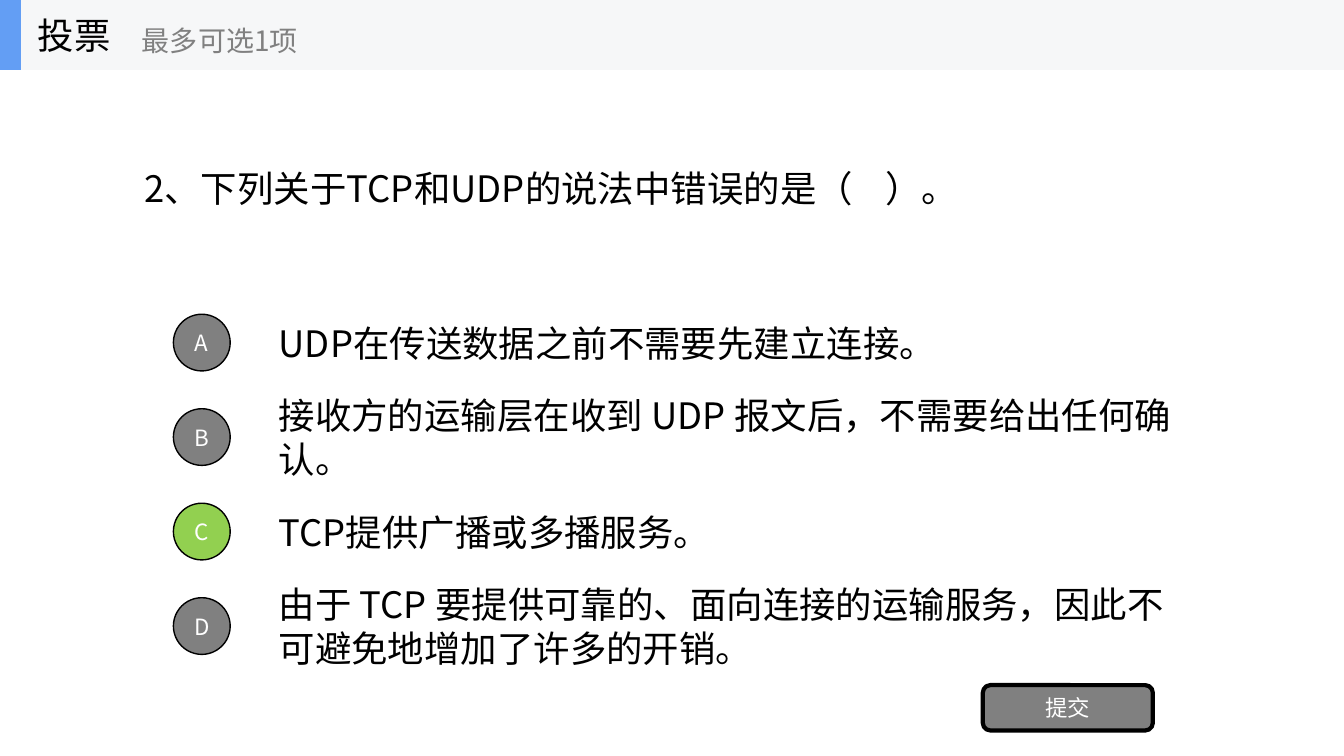
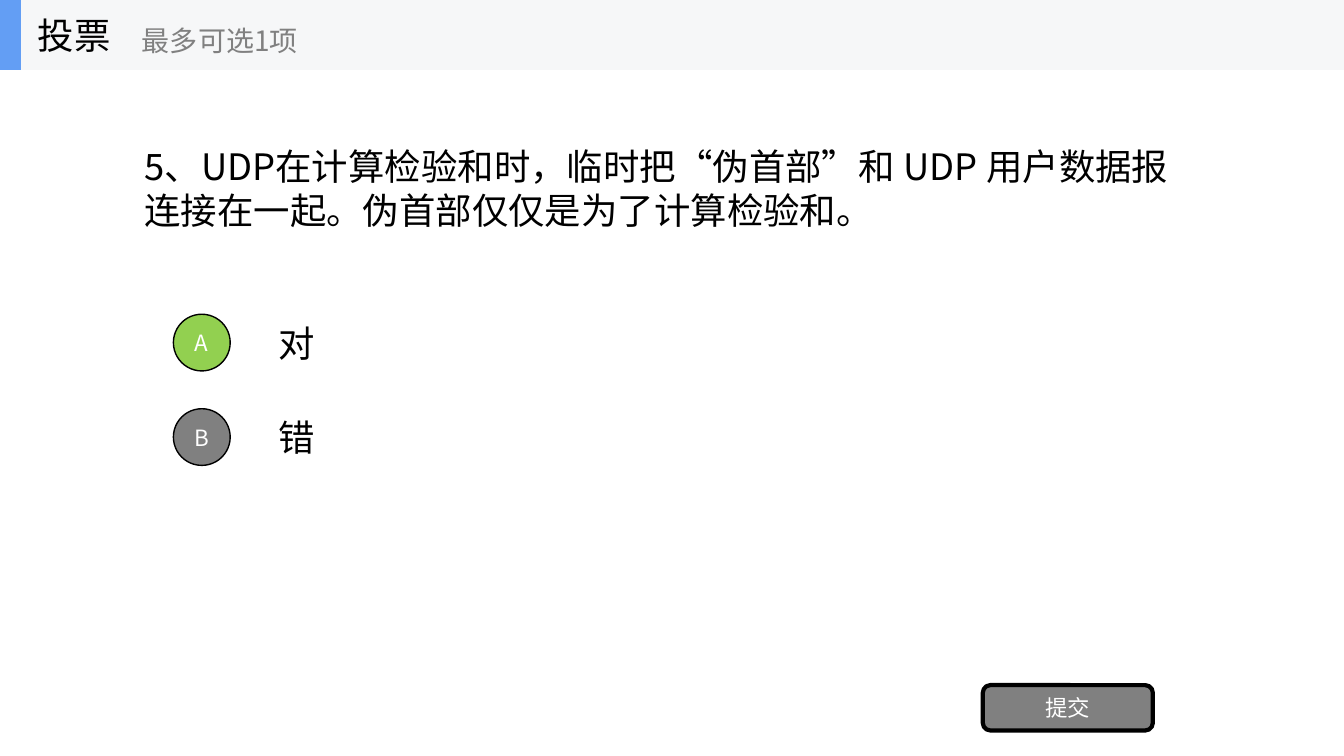
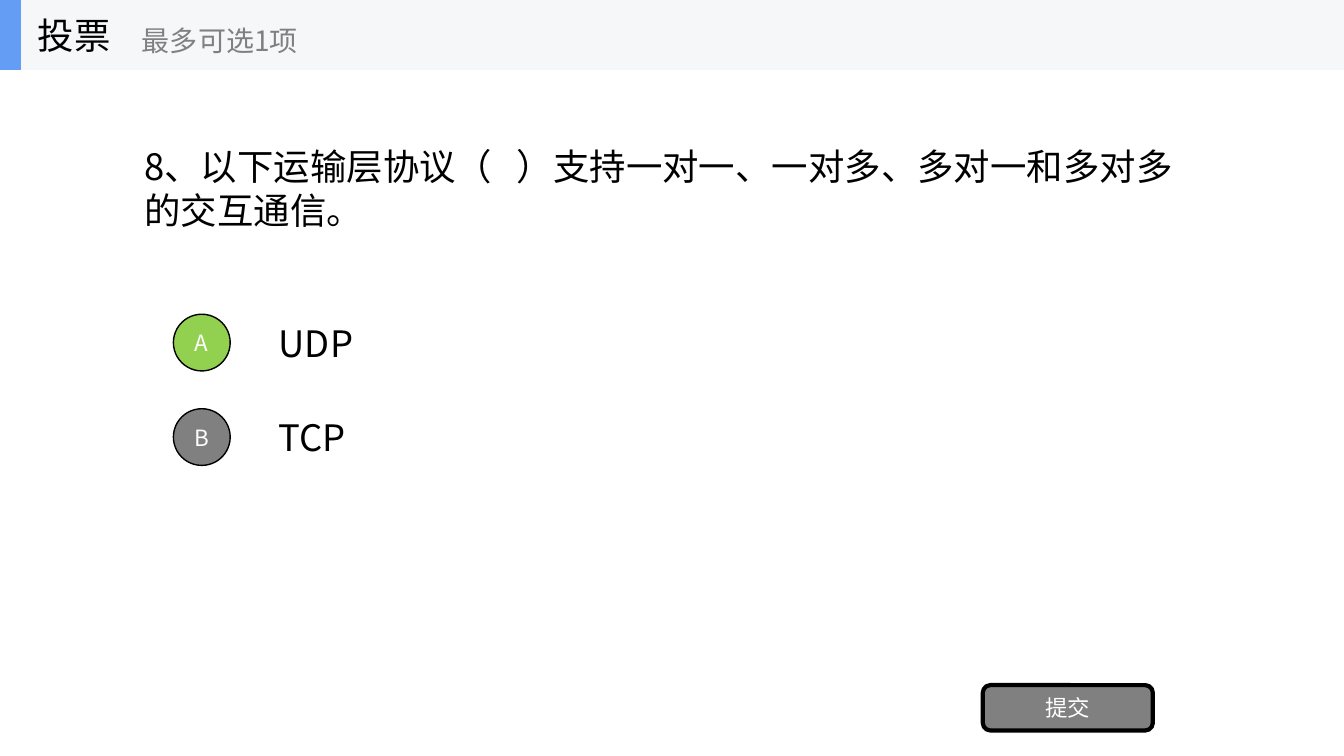
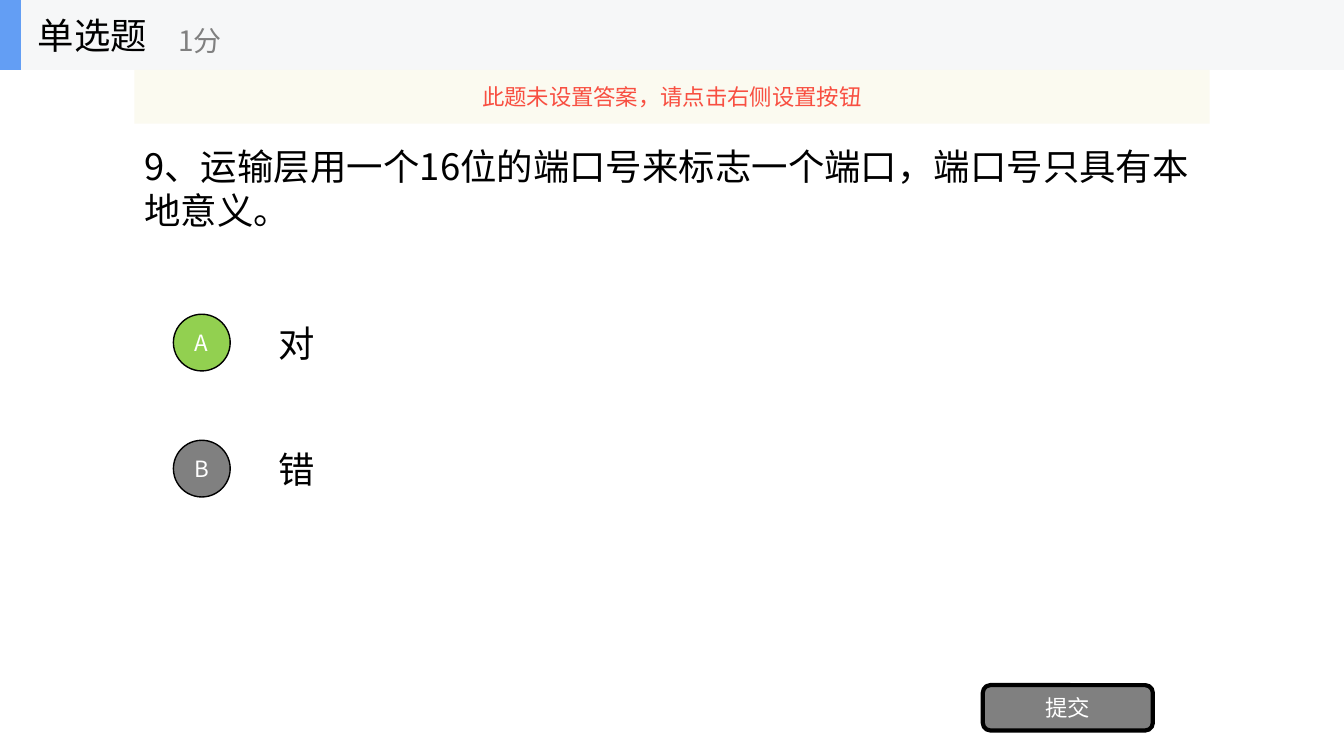
from dataclasses import dataclass

from lxml import etree
from pptx import Presentation
from pptx.dml.color import RGBColor
from pptx.enum.shapes import MSO_SHAPE
from pptx.enum.text import MSO_ANCHOR, MSO_AUTO_SIZE, PP_ALIGN
from pptx.oxml.ns import qn
from pptx.util import Inches, Pt

RECTANGLE, ELLIPSE, ROUNDED = MSO_SHAPE.RECTANGLE, MSO_SHAPE.OVAL, MSO_SHAPE.ROUNDED_RECTANGLE
LEFT, CENTER = PP_ALIGN.LEFT, PP_ALIGN.CENTER
MIDDLE, NO_AUTOFIT = MSO_ANCHOR.MIDDLE, MSO_AUTO_SIZE.NONE
TITLE_ONLY = 5
COLUMNS = ROWS = 40
HEADER_ROWS = 3.7
OPTION_TOP, OPTION_ROWS, OPTION_PITCH = 16.25, 3.75, 5
BADGE_COLUMNS, BADGE_ROWS = 1.69, 3


@dataclass(frozen=True)
class Theme:
    font: str = "Noto Sans CJK SC"
    ink: str = "000000"
    gray: str = "808080"
    white: str = "FFFFFF"
    band: str = "F6F7F8"
    accent: str = "639EF4"
    chosen: str = "92D050"
    notice: str = "FBFAEF"
    warning: str = "F84F41"
    body_size: int = 26
    hint_size: int = 20
    label_size: int = 16


class PollDeck:
    """Hold the theme and the current slide; boxes are (column, row, columns, rows)."""

    def __init__(self, theme):
        self.theme = theme
        self.presentation = Presentation()
        self.presentation.slide_width = Inches(13.33)
        self.presentation.slide_height = Inches(7.5)
        self.slide = None

    def place(self, box):
        column = self.presentation.slide_width / COLUMNS
        row = self.presentation.slide_height / ROWS
        return [round(share * unit) for share, unit in zip(box, (column, row) * 2)]

    def fill_text(self, shape, text, size, color, alignment=LEFT):
        frame = shape.text_frame
        frame.word_wrap = True
        frame.auto_size = NO_AUTOFIT
        frame.vertical_anchor = MIDDLE
        paragraph = frame.paragraphs[0]
        paragraph.alignment = alignment
        run = paragraph.add_run()
        run.text = text
        run.font.size = Pt(size)
        run.font.color.rgb = RGBColor.from_string(color)
        run.font.name = self.theme.font
        for properties in shape.element.iter(qn("a:rPr")):
            etree.SubElement(properties, qn("a:ea")).set("typeface", self.theme.font)

    def text(self, box, text, size, color):
        self.fill_text(self.slide.shapes.add_textbox(*self.place(box)), text, size, color)

    def shape(self, kind, box, fill, line_width=0):
        shape = self.slide.shapes.add_shape(kind, *self.place(box))
        shape.shadow.inherit = False
        shape.fill.solid()
        shape.fill.fore_color.rgb = RGBColor.from_string(fill)
        if line_width:
            shape.line.color.rgb = RGBColor.from_string(self.theme.ink)
            shape.line.width = Pt(line_width)
        else:
            shape.line.fill.background()
        return shape

    def label(self, shape, text, color):
        frame = shape.text_frame
        frame.margin_left = frame.margin_right = frame.margin_top = frame.margin_bottom = 0
        self.fill_text(shape, text, self.theme.label_size, color, CENTER)

    def header(self, title_text, hint):
        theme = self.theme
        self.shape(RECTANGLE, (0, 0, COLUMNS, HEADER_ROWS), theme.band)
        self.shape(RECTANGLE, (0, 0, 0.62, HEADER_ROWS), theme.accent)
        title = self.slide.shapes.title
        title.left, title.top, title.width, title.height = self.place((0.83, 0, 6.25, HEADER_ROWS))
        self.fill_text(title, title_text, theme.body_size, theme.ink)
        title.element.getparent().append(title.element)  # in front of the band
        hint_left = 1.77 + 1.08 * len(title_text)
        self.text((hint_left, 0.64, 7.5, 3), hint, theme.hint_size, theme.gray)

    def option(self, letter, text, row, chosen):
        theme = self.theme
        self.text((8, row, 28, OPTION_ROWS), text, theme.body_size, theme.ink)
        badge_row = row + (OPTION_ROWS - BADGE_ROWS) / 2
        badge = self.shape(ELLIPSE, (5.16, badge_row, BADGE_COLUMNS, BADGE_ROWS),
                           theme.chosen if chosen else theme.gray, 1)
        self.label(badge, letter, theme.white)

    def submit_button(self):
        button = self.shape(ROUNDED, (29.25, 36.25, 5.06, 2.4), self.theme.gray, 3)
        self.label(button, "提交", self.theme.white)

    def notice(self, text):
        banner = self.shape(RECTANGLE, (4, HEADER_ROWS, 32, 2.85), self.theme.notice)
        color = banner.element.spPr.find(qn("a:solidFill"))[0]
        etree.SubElement(color, qn("a:alpha")).set("val", "90000")
        self.label(banner, text, self.theme.warning)

    def question(self, text, options, answer, title="投票", hint="最多可选1项",
                 pitch=OPTION_PITCH, notice=None):
        """Add a slide with one question; answer is the letter of the green badge."""
        layout = self.presentation.slide_layouts[TITLE_ONLY]
        self.slide = self.presentation.slides.add_slide(layout)
        self.header(title, hint)
        self.text((4, HEADER_ROWS, 32, 12.5), text, self.theme.body_size, self.theme.ink)
        for index, (letter, option) in enumerate(zip("ABCD", options)):
            self.option(letter, option, OPTION_TOP + index * pitch, letter == answer)
        self.submit_button()
        if notice:
            self.notice(notice)


def main():
    deck = PollDeck(Theme())
    deck.question(
        "2、下列关于TCP和UDP的说法中错误的是（    ）。",
        ["UDP在传送数据之前不需要先建立连接。",
         "接收方的运输层在收到 UDP 报文后，不需要给出任何确认。",
         "TCP提供广播或多播服务。",
         "由于 TCP 要提供可靠的、面向连接的运输服务，因此不可避免地增加了许多的开销。"],
        "C")
    deck.question(
        "5、UDP在计算检验和时，临时把“伪首部”和 UDP 用户数据报连接在一起。伪首部仅仅是为了计算检验和。",
        ["对", "错"], "A")
    deck.question(
        "8、以下运输层协议（   ）支持一对一、一对多、多对一和多对多的交互通信。",
        ["UDP", "TCP"], "A")
    deck.question(
        "9、运输层用一个16位的端口号来标志一个端口，端口号只具有本地意义。",
        ["对", "错"], "A", title="单选题", hint="1分", pitch=6.67,
        notice="此题未设置答案，请点击右侧设置按钮")
    deck.presentation.save("out.pptx")


if __name__ == "__main__":
    main()
